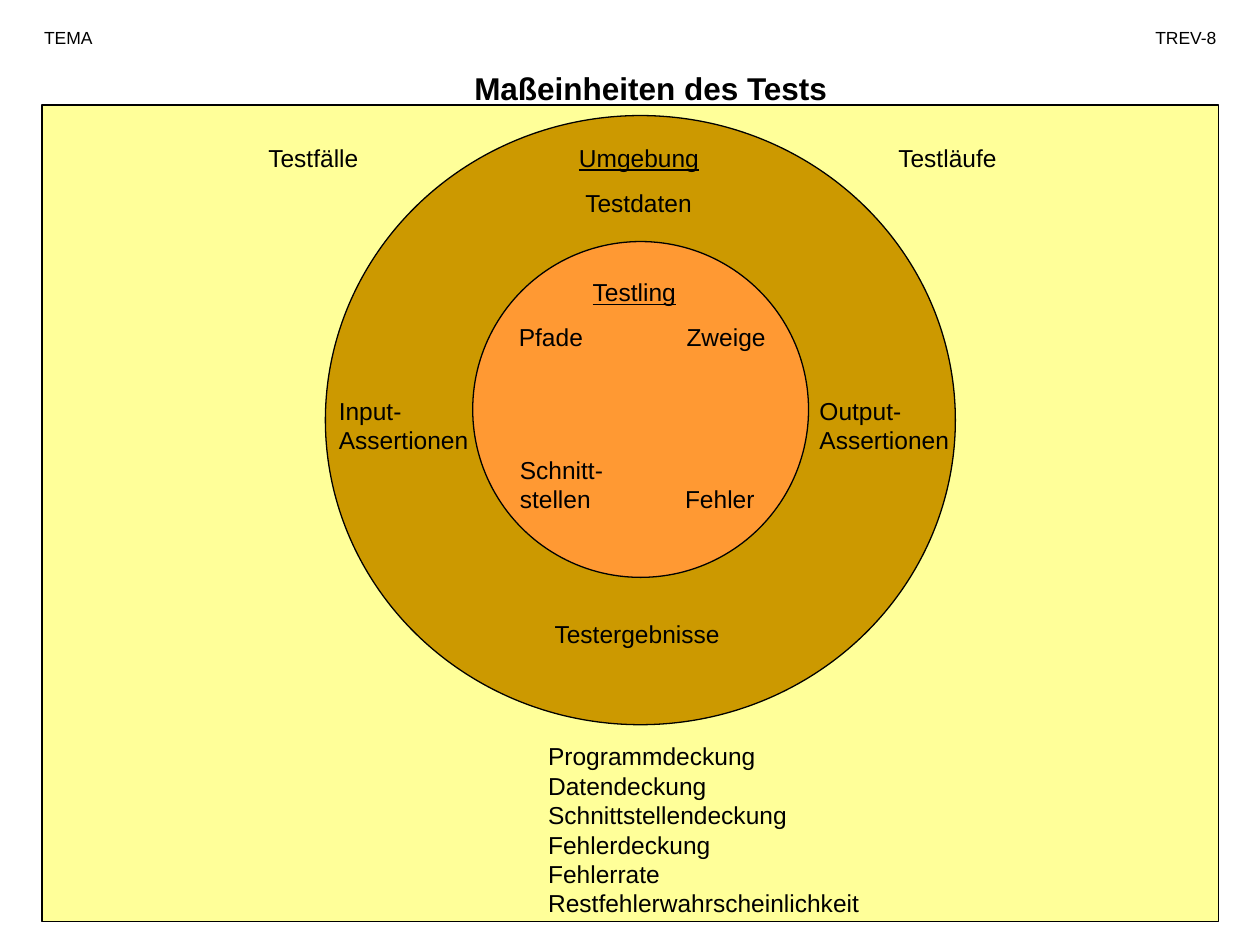
"""Build the slide on the units of measure of testing."""
from dataclasses import dataclass

from pptx import Presentation
from pptx.dml.color import RGBColor
from pptx.enum import shapes as sh, text as tx
from pptx.slide import Slide
from pptx.util import Cm, Pt

BLACK = RGBColor(0x00, 0x00, 0x00)
YELLOW = RGBColor(0xFF, 0xFF, 0x99)
OCHRE = RGBColor(0xCC, 0x99, 0x00)
ORANGE = RGBColor(0xFF, 0x99, 0x33)
LEFT, MID, RIGHT = tx.PP_ALIGN.LEFT, tx.PP_ALIGN.CENTER, tx.PP_ALIGN.RIGHT
RECT, OVAL = sh.MSO_SHAPE.RECTANGLE, sh.MSO_SHAPE.OVAL


@dataclass(frozen=True)
class Area:
    kind: sh.MSO_SHAPE
    left: float
    top: float
    width: float
    height: float
    fill: RGBColor


@dataclass(frozen=True)
class Label:
    words: str
    left: float
    top: float
    width: float = 4
    size: int = 14
    align: tx.PP_ALIGN = LEFT
    bold: bool = False
    under: bool = False


AREAS = [
    Area(RECT, 0.85, 2.12, 23.71, 16.46, YELLOW),
    Area(OVAL, 6.56, 2.33, 12.7, 12.28, OCHRE),
    Area(OVAL, 9.53, 4.87, 6.77, 6.77, ORANGE),
]
COVER = (
    "Programmdeckung", "Datendeckung", "Schnittstellendeckung",
    "Fehlerdeckung", "Fehlerrate", "Restfehlerwahrscheinlichkeit",
)
LABELS = [
    Label("Maßeinheiten des Tests", 5.5, 1.27, 15.24, 18, MID, bold=True),
    Label("TEMA", 0.64, 0.42, 2.33, 10),
    Label("TREV-8", 22.23, 0.42, 2.54, 10, RIGHT),
    Label("Testfälle", 5.16, 2.75),
    Label("Umgebung", 11.42, 2.75, under=True),
    Label("Testläufe", 17.86, 2.75),
    Label("Testdaten", 11.55, 3.66),
    Label("Testling", 11.7, 5.46, under=True),
    Label("Pfade", 10.21, 6.36),
    Label("Zweige", 13.59, 6.36),
    Label("Input-\vAssertionen", 6.58, 7.85),
    Label("Output-\vAssertionen", 16.27, 7.85),
    Label("Schnitt-\vstellen", 10.23, 9.04),
    Label("Fehler", 13.56, 9.63),
    Label("Testergebnisse", 10.93, 12.35),
    Label("\v".join(COVER), 10.8, 14.82, 7.41),
]


def draw_area(slide: Slide, area: Area) -> None:
    shape = slide.shapes.add_shape(
        area.kind, Cm(area.left), Cm(area.top), Cm(area.width), Cm(area.height)
    )
    shape.shadow.inherit = False
    shape.fill.solid()
    shape.fill.fore_color.rgb = area.fill
    shape.line.color.rgb = BLACK
    shape.line.width = Pt(0.75)


def draw_label(slide: Slide, label: Label) -> None:
    lines = label.words.count("\v") + 1
    height = Cm(0.25) + Pt(1.2 * label.size * lines)
    box = slide.shapes.add_textbox(
        Cm(label.left), Cm(label.top), Cm(label.width), height
    )
    frame = box.text_frame
    frame.word_wrap = True
    para = frame.paragraphs[0]
    para.text = label.words
    para.alignment = label.align
    font = para.font
    font.name = "Arial"
    font.size = Pt(label.size)
    font.bold = label.bold
    font.underline = label.under
    font.color.rgb = BLACK


def main() -> None:
    deck = Presentation()
    deck.slide_width, deck.slide_height = Cm(25.4), Cm(19.05)
    slide = deck.slides.add_slide(deck.slide_layouts[6])
    for area in AREAS:
        draw_area(slide, area)
    for label in LABELS:
        draw_label(slide, label)
    deck.save("out.pptx")


if __name__ == "__main__":
    main()
